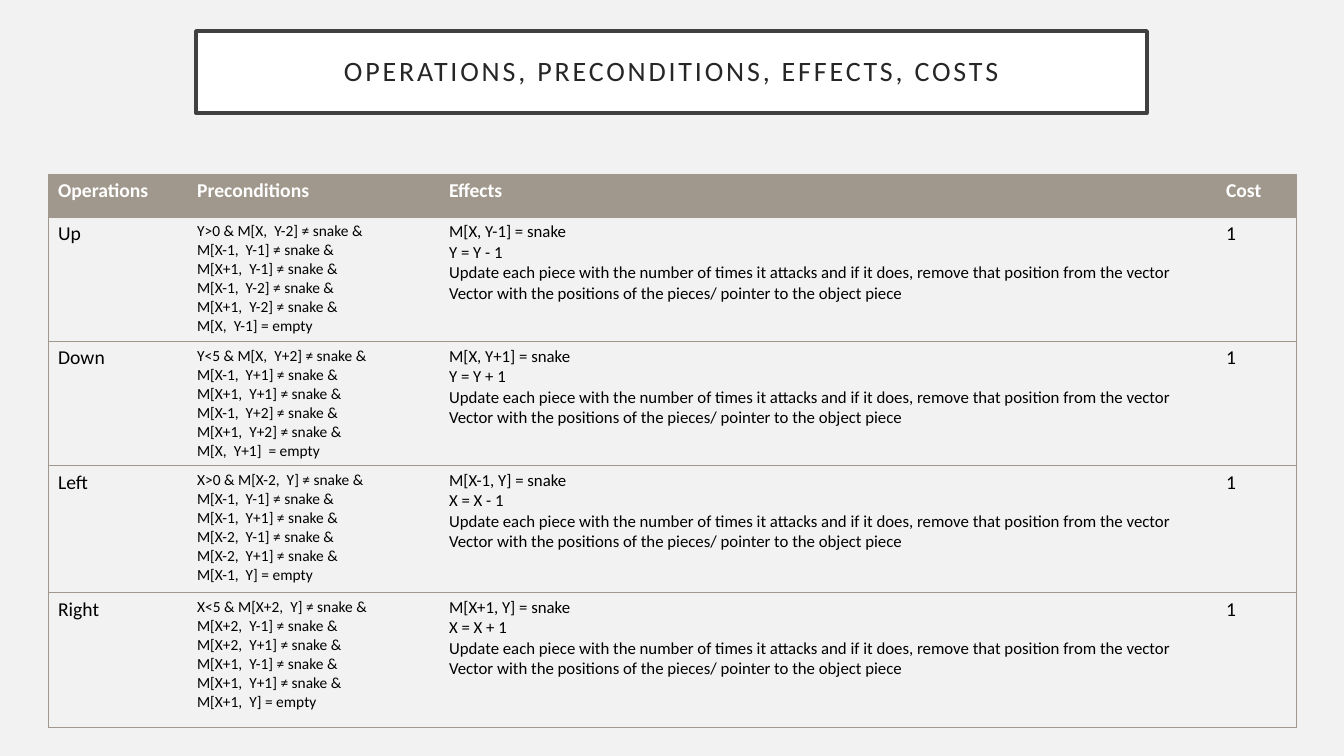
from lxml.etree import SubElement
from pptx import Presentation
from pptx.dml.color import RGBColor
from pptx.enum.text import MSO_ANCHOR, MSO_AUTO_SIZE, PP_ALIGN
from pptx.oxml.ns import qn
from pptx.util import Emu, Pt

TITLE = "OPERATIONS, PRECONDITIONS, EFFECTS, COSTS"
HEADINGS = ["Operations", "Preconditions", "Effects", "Cost"]
SHARED_EFFECTS = [
    "Update each piece with the number of times it attacks and if it does, remove that position from the vector",
    "Vector with the positions of the pieces/ pointer to the object piece",
]
OPERATIONS = [
    ("Up",
     ["Y>0 & M[X,  Y-2] ≠ snake &", "M[X-1,  Y-1] ≠ snake &", "M[X+1,  Y-1] ≠ snake &",
      "M[X-1,  Y-2] ≠ snake &", "M[X+1,  Y-2] ≠ snake &", "M[X,  Y-1] = empty"],
     ["M[X, Y-1] = snake", "Y = Y - 1"], "1"),
    ("Down",
     ["Y<5 & M[X,  Y+2] ≠ snake &", "M[X-1,  Y+1] ≠ snake &", "M[X+1,  Y+1] ≠ snake &",
      "M[X-1,  Y+2] ≠ snake &", "M[X+1,  Y+2] ≠ snake &", "M[X,  Y+1]  = empty"],
     ["M[X, Y+1] = snake", "Y = Y + 1"], "1"),
    ("Left",
     ["X>0 & M[X-2,  Y] ≠ snake &", "M[X-1,  Y-1] ≠ snake &", "M[X-1,  Y+1] ≠ snake &",
      "M[X-2,  Y-1] ≠ snake &", "M[X-2,  Y+1] ≠ snake &", "M[X-1,  Y] = empty"],
     ["M[X-1, Y] = snake", "X = X - 1"], "1"),
    ("Right",
     ["X<5 & M[X+2,  Y] ≠ snake &", "M[X+2,  Y-1] ≠ snake &", "M[X+2,  Y+1] ≠ snake &",
      "M[X+1,  Y-1] ≠ snake &", "M[X+1,  Y+1] ≠ snake &", "M[X+1,  Y] = empty"],
     ["M[X+1, Y] = snake", "X = X + 1"], "1"),
]
COLORS = {"background": "F2F2F2", "box": "FFFFFF", "frame": "404040", "title": "262626",
          "accent": "A0988C", "heading": "FFFFFF", "body": "000000"}
FONT = "Calibri"
SLIDE_SIZE = (1344, 756)
TITLE_BOX = (196, 31, 951, 82)
TITLE_INSET = 20
TABLE_LEFT, TABLE_TOP = 48, 174
COLUMN_WIDTHS = [139, 252, 777, 80]
ROW_HEIGHTS = [43, 124, 124, 127, 135]
HEADING_SIZE = 14
BODY_SIZES = [14, 11, 12, 14]


def px(length):
    return Emu(round(length * 914400 / 100.8))


def color(name):
    return RGBColor.from_string(COLORS[name])


def set_borders(cell, visible_sides):
    properties = cell._tc.get_or_add_tcPr()
    for side in "LRTB":
        line = SubElement(properties, qn(f"a:ln{side}"), w=str(Pt(0.5)))
        if side in visible_sides:
            fill = SubElement(line, qn("a:solidFill"))
            SubElement(fill, qn("a:srgbClr"), val=COLORS["accent"])
        else:
            SubElement(line, qn("a:noFill"))


def fill_cell(cell, lines, size, is_heading):
    if is_heading:
        cell.fill.solid()
        cell.fill.fore_color.rgb = color("accent")
    else:
        cell.fill.background()
    cell.text = "\n".join(lines)
    for paragraph in cell.text_frame.paragraphs:
        font = paragraph.font
        font.name = FONT
        font.size = Pt(size)
        font.bold = is_heading
        font.color.rgb = color("heading" if is_heading else "body")


def add_title(slide):
    title = slide.shapes.title
    title.left, title.top, title.width, title.height = map(px, TITLE_BOX)
    title.fill.solid()
    title.fill.fore_color.rgb = color("box")
    title.line.color.rgb = color("frame")
    title.line.width = Pt(2.5)
    frame = title.text_frame
    frame.text = TITLE
    frame.word_wrap = True
    frame.auto_size = MSO_AUTO_SIZE.NONE
    frame.vertical_anchor = MSO_ANCHOR.MIDDLE
    frame.margin_left = frame.margin_right = px(TITLE_INSET)
    frame.margin_top = frame.margin_bottom = px(TITLE_INSET)
    paragraph = frame.paragraphs[0]
    paragraph.alignment = PP_ALIGN.CENTER
    paragraph.line_spacing = 0.9
    paragraph.font.name = FONT
    paragraph.font.size = Pt(20)
    paragraph.font.color.rgb = color("title")
    paragraph.runs[0].font._element.set("spc", "200")


def add_operations_table(slide):
    rows = [[[heading] for heading in HEADINGS]]
    for name, preconditions, effects, cost in OPERATIONS:
        rows.append([[name], preconditions, effects + SHARED_EFFECTS, [cost]])
    table = slide.shapes.add_table(
        len(rows), len(HEADINGS), px(TABLE_LEFT), px(TABLE_TOP),
        px(sum(COLUMN_WIDTHS)), px(sum(ROW_HEIGHTS))).table
    table.horz_banding = False
    for column, width in zip(table.columns, COLUMN_WIDTHS):
        column.width = px(width)
    for row, height in zip(table.rows, ROW_HEIGHTS):
        row.height = px(height)
    for row_index, row in enumerate(rows):
        for column_index, lines in enumerate(row):
            cell = table.cell(row_index, column_index)
            left = "L" if column_index == 0 else ""
            right = "R" if column_index == len(HEADINGS) - 1 else ""
            set_borders(cell, "TB" + left + right)
            is_heading = row_index == 0
            size = HEADING_SIZE if is_heading else BODY_SIZES[column_index]
            fill_cell(cell, lines, size, is_heading)


def main():
    presentation = Presentation()
    presentation.slide_width, presentation.slide_height = map(px, SLIDE_SIZE)
    slide = presentation.slides.add_slide(presentation.slide_layouts[5])
    slide.background.fill.solid()
    slide.background.fill.fore_color.rgb = color("background")
    add_title(slide)
    add_operations_table(slide)
    presentation.save("out.pptx")


if __name__ == "__main__":
    main()
